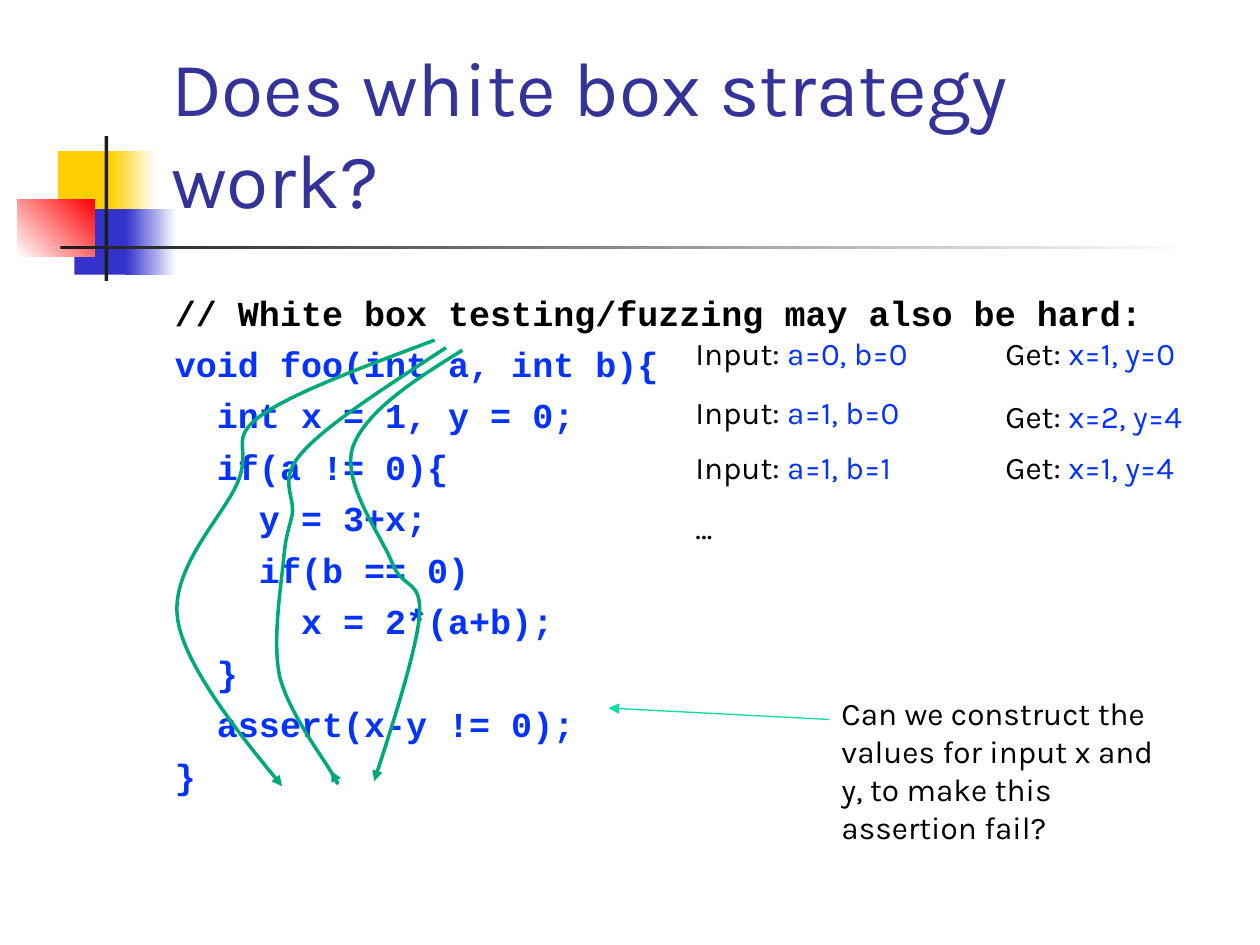
from lxml import etree
from pptx import Presentation
from pptx import util as u
from pptx.dml.color import RGBColor
from pptx.enum import dml, shapes, text
from pptx.oxml.ns import qn

Inches, Pt = u.Inches, u.Pt
COLORS = {
    "yellow": "FFCF01", "blue": "3333CC", "red": "FF0000", "white": "FFFFFF",
    "dark": "1C1C1C", "title": "333399", "black": "000000",
    "code": "0432FF", "path": "00A97C", "arrow": "00DFA4",
}
ORNAMENTS = [
    ((0.46, 1.2, 0.48, 0.52), ["yellow"], 0),
    ((0.88, 1.2, 0.36, 0.52), ["yellow", "white"], 0),
    ((0.59, 1.66, 0.46, 0.52), ["blue"], 0),
    ((1, 1.66, 0.4, 0.52), ["blue", "white"], 0),
    ((0.14, 1.58, 0.61, 0.46), ["white", "red"], 45),
    ((0.83, 1.08, 0.03, 1.15), ["dark"], 0),
    ((0.48, 1.95, 9, 0.03), ["dark", "white"], 0),
]
CODE = [
    "// White box testing/fuzzing may also be hard:",
    "void foo(int a, int b){",
    "  int x = 1, y = 0;",
    "  if(a != 0){",
    "    y = 3+x;",
    "    if(b == 0)",
    "      x = 2*(a+b);",
    "  }",
    "  assert(x-y != 0);",
    "}",
]
CASES = [
    (0, "a=0, b=0", 0, "x=1, y=0"),
    (0.47, "a=1, b=0", 0.5, "x=2, y=4"),
    (0.91, "a=1, b=1", 0.91, "x=1, y=4"),
]
EXECUTION_PATHS = [
    [(3.45, 2.7), (2.89, 2.91), (2.32, 3.12), (2.07, 3.3),
     (1.81, 3.49), (2, 3.55), (1.89, 3.82), (1.79, 4.08), (1.35, 4.5),
     (1.41, 4.91), (1.46, 5.31), (2.24, 6.24), (2.24, 6.24)],
    [(3.67, 2.78), (3.28, 3.02), (2.9, 3.27), (2.8, 3.55),
     (2.71, 3.83), (3.02, 4.24), (3.11, 4.46), (3.19, 4.68), (3.35, 4.59),
     (3.33, 4.88), (3.31, 5.17), (2.97, 6.2), (2.97, 6.2)],
    [(3.54, 2.76), (3.08, 3.06), (2.61, 3.36), (2.41, 3.58),
     (2.2, 3.8), (2.34, 3.93), (2.32, 4.08), (2.29, 4.22), (2.27, 4.23),
     (2.25, 4.45), (2.23, 4.66), (2.16, 5.09), (2.22, 5.37), (2.29, 5.65),
     (2.56, 6.01), (2.63, 6.13), (2.7, 6.26), (2.67, 6.19), (2.63, 6.12)],
]


def rgb(name):
    """Return the named colour."""
    return RGBColor.from_string(COLORS[name])


def set_font(font, name, size, color, bold=False):
    """Set the face, size, colour and weight of a font."""
    font.name, font.size, font.bold = name, Pt(size), bold
    font.color.rgb = rgb(color)


def add_box(page, box):
    """Add a wrapping text box and return its text frame."""
    frame = page.shapes.add_textbox(*map(Inches, box)).text_frame
    frame.word_wrap = True
    return frame


def add_ornament(page, box, names, angle):
    """Add one borderless rectangle with a plain or gradient fill."""
    block = page.shapes.add_shape(shapes.MSO_SHAPE.RECTANGLE, *map(Inches, box))
    block.shadow.inherit = False
    block.line.fill.background()
    if len(names) == 1:
        block.fill.solid()
        block.fill.fore_color.rgb = rgb(names[0])
        return
    block.fill.gradient()
    block.fill.gradient_angle = angle
    for stop, name in zip(block.fill.gradient_stops, names):
        stop.color.rgb = rgb(name)


def add_title(page, box):
    """Add the title, resting on the bottom of its box."""
    frame = add_box(page, box)
    frame.vertical_anchor = text.MSO_ANCHOR.BOTTOM
    para = frame.paragraphs[0]
    para.text = "Does white box strategy work?"
    set_font(para.font, "Karla", 44, "title")


def add_code(page, box):
    """Add the listing, with its comment line in black."""
    frame = add_box(page, box)
    frame.margin_top = Inches(0.1)
    for index, line in enumerate(CODE):
        para = frame.add_paragraph() if index else frame.paragraphs[0]
        para.text = line
        para.space_before = Pt(5.4 if index else 0)
        set_font(para.font, "Courier New", 20, "code" if index else "black", True)


def add_label(page, box, label, values=""):
    """Add a black label followed by blue values."""
    para = add_box(page, box).paragraphs[0]
    set_font(para.font, "Karla", 18, "black")
    para.add_run().text = label
    if values:
        span = para.add_run()
        span.text = values
        span.font.color.rgb = rgb("code")


def add_cases(page, box):
    """Add the inputs and results in two columns, then an ellipsis."""
    left, top, width, height = box
    input_width, result_left, result_width = 2.33, left + 2.46, width - 2.46
    for input_drop, inputs, result_drop, results in CASES:
        add_label(page, (left, top + input_drop, input_width, 0.4), "Input: ", inputs)
        add_label(page, (result_left, top + result_drop, result_width, 0.4),
                  "Get: ", results)
    add_label(page, (left, top + height - 0.4, input_width, 0.4), "…")


def style_arrow(arrow, color, width):
    """Style a line, give it an arrowhead at its end and drop its shadow."""
    arrow.line.color.rgb = rgb(color)
    arrow.line.width = Pt(width)
    arrow.line.dash_style = dml.MSO_LINE.SOLID
    etree.SubElement(arrow.line._get_or_add_ln(), qn("a:tailEnd"), type="triangle")
    properties = arrow._element.spPr
    if properties.find(qn("a:effectLst")) is None:
        etree.SubElement(properties, qn("a:effectLst"))


def add_execution_path(page, points):
    """Add a curve from a start point and triples of Bezier points."""
    start, *rest = [(Inches(x), Inches(y)) for x, y in points]
    builder = page.shapes.build_freeform(*start)
    builder.add_line_segments(rest, close=False)
    curve = builder.convert_to_shape()
    curve.shadow.inherit = False
    curve.fill.background()
    outline = next(curve._element.iter(qn("a:path")))
    segments = outline.findall(qn("a:lnTo"))
    for first in range(0, len(segments), 3):
        bend = etree.SubElement(outline, qn("a:cubicBezTo"))
        for segment in segments[first:first + 3]:
            bend.append(segment[0])
            outline.remove(segment)
    style_arrow(curve, "path", 2)


def add_question(page, box):
    """Add the question with an arrow to the assertion."""
    left, top, width, height = box
    add_label(page, box, "Can we construct the values for input x and y, "
                         "to make this assertion fail?")
    arrow = page.shapes.add_connector(
        shapes.MSO_CONNECTOR.STRAIGHT,
        *map(Inches, (left, top + 0.25, left - 1.75, top + 0.16)))
    style_arrow(arrow, "arrow", 0.75)


def main():
    """Build and save the slide."""
    deck = Presentation()
    deck.slide_width, deck.slide_height = Inches(10), Inches(7.5)
    page = deck.slides.add_slide(deck.slide_layouts[6])
    for ornament in ORNAMENTS:
        add_ornament(page, *ornament)
    add_title(page, (1.26, 0.23, 8.52, 1.6))
    add_code(page, (1.29, 2.21, 8.5, 4.5))
    add_question(page, (6.58, 5.46, 2.78, 1.31))
    add_cases(page, (5.42, 2.6, 4.34, 1.78))
    for points in EXECUTION_PATHS:
        add_execution_path(page, points)
    deck.save("out.pptx")


if __name__ == "__main__":
    main()
